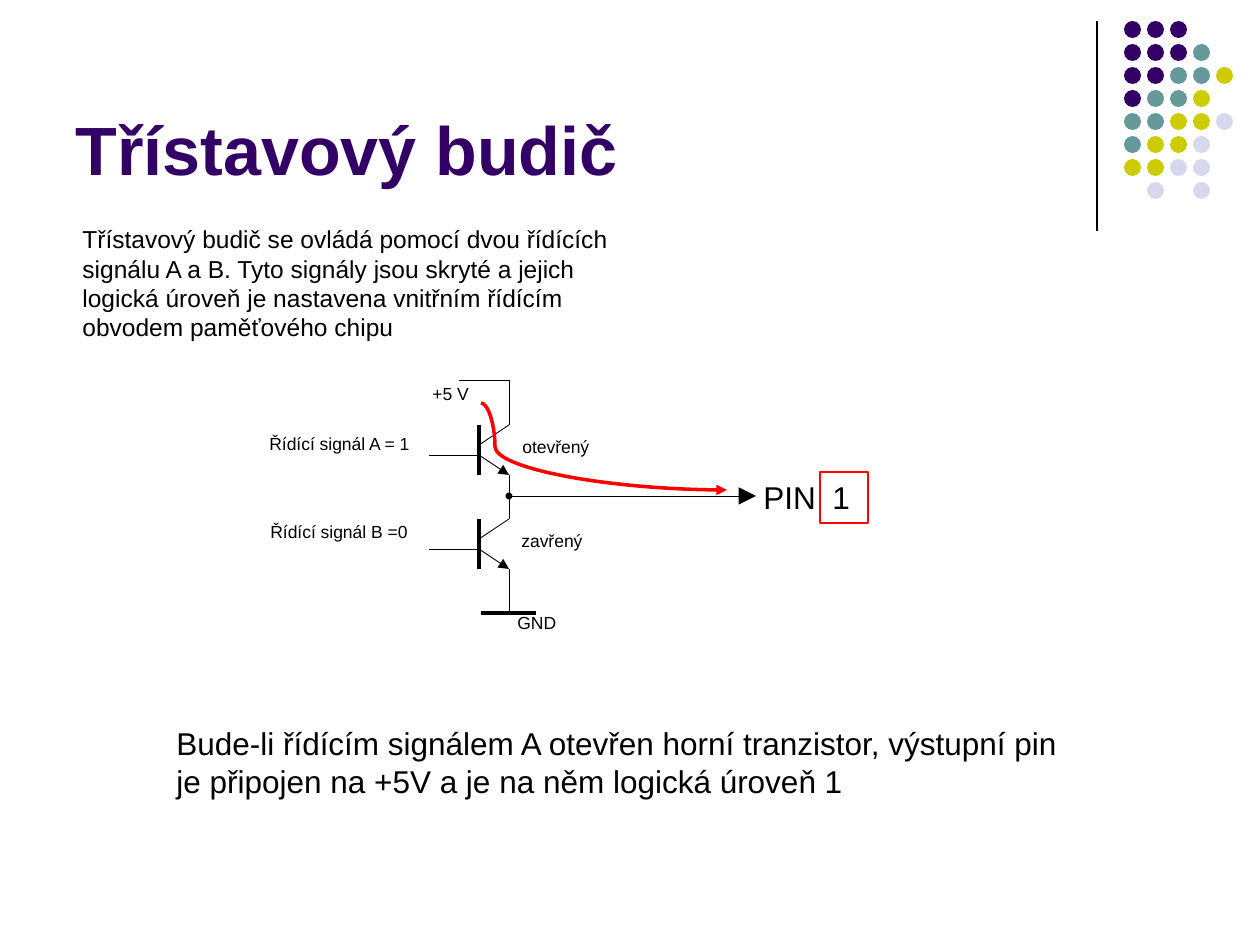
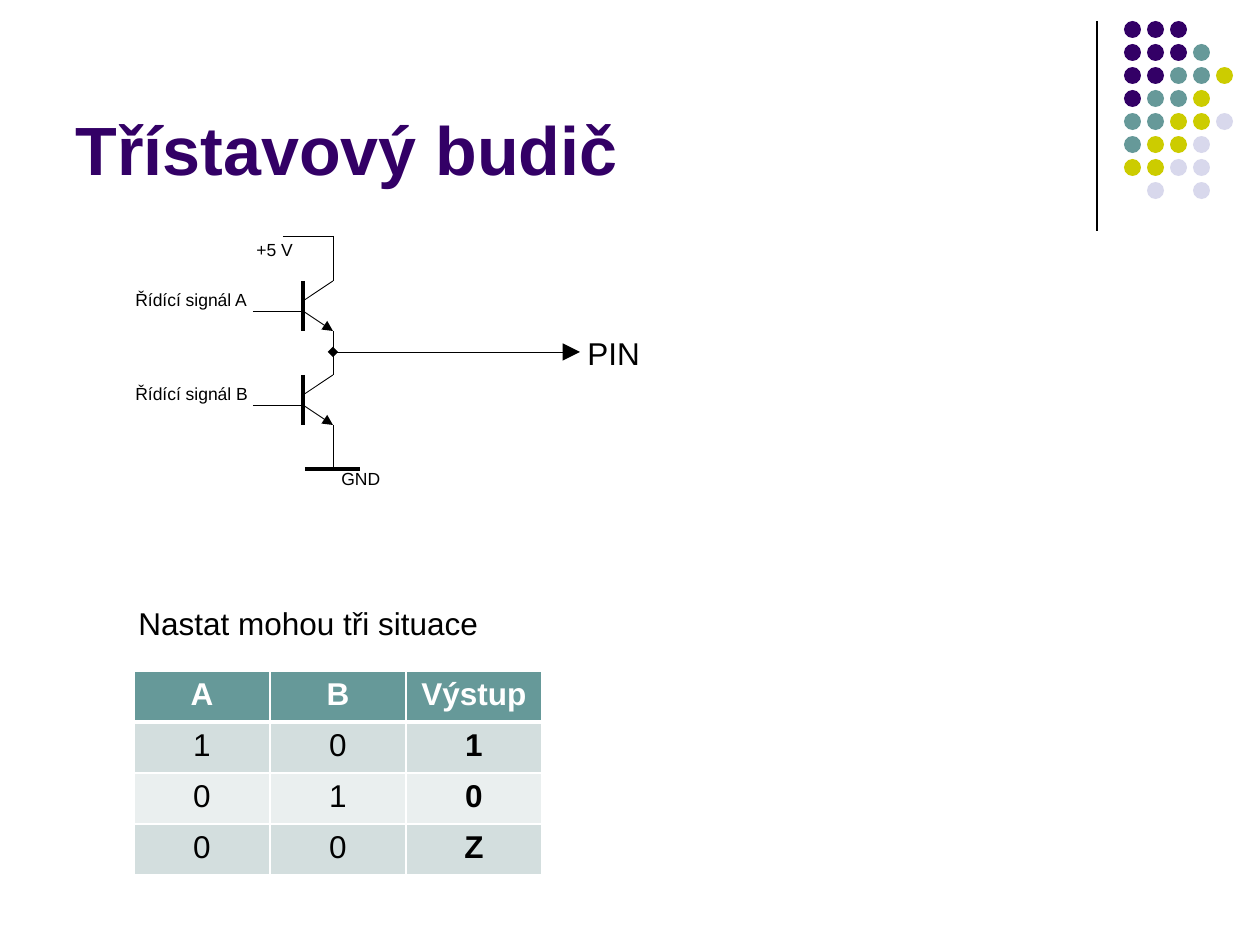
from dataclasses import dataclass

from lxml.etree import SubElement
from pptx import Presentation
from pptx.dml.color import RGBColor
from pptx.enum.shapes import MSO_CONNECTOR as CONN, MSO_SHAPE as SHAPE
from pptx.enum.text import MSO_ANCHOR as ANCHOR, PP_ALIGN as ALIGN
from pptx.oxml.ns import qn
from pptx.util import Pt


@dataclass(frozen=True)
class Theme:
    font: str = "Arial"
    purple: str = "330066"
    teal: str = "669999"
    lime: str = "CCCC00"
    pale: str = "D8D8EC"
    black: str = "000000"
    white: str = "FFFFFF"
    red: str = "FF0000"
    band: str = "D3DEDE"
    light_band: str = "EAEFEF"
    title: int = 39
    body: int = 18
    note: int = 14
    label: int = 10
    thin: float = 0.5
    frame: float = 0.75
    thick: float = 1.75
    flow: float = 2


T = Theme()
SCALE = 914400 / 126
DOTS = ("PPP", "PPPT", "PPTTL", "PTTL", "TTLLV", "TLLV", "LLVV", " V V")
DOT_COLORS = {"P": T.purple, "T": T.teal, "L": T.lime, "V": T.pale}


def px(n):
    return round(n * SCALE)


def rgb(color):
    return RGBColor.from_string(color)


def write(tf, text, size=T.body, color=T.black, bold=False, align=ALIGN.LEFT):
    p = tf.paragraphs[0]
    p.alignment = align
    r = p.add_run()
    r.text = text
    r.font.name = T.font
    r.font.size = Pt(size)
    r.font.bold = bold
    r.font.color.rgb = rgb(color)


def add_text(s, text, x, y, w, h, anchor=ANCHOR.TOP, right=None, **fmt):
    tf = s.shapes.add_textbox(px(x), px(y), px(w), px(h)).text_frame
    tf.word_wrap = True
    tf.vertical_anchor = anchor
    if right is not None:
        tf.margin_right = right
    write(tf, text, **fmt)


def add_label(s, text, x, y, w=190, h=34, size=T.label):
    add_text(s, text, x, y, w, h, right=0, size=size)


def add_line(s, x1, y1, x2, y2, width=T.thin, color=T.black,
             head=None, tail=None, kind=CONN.STRAIGHT):
    c = s.shapes.add_connector(kind, px(x1), px(y1), px(x2), px(y2))
    c.line.width = Pt(width)
    c.line.color.rgb = rgb(color)
    ln = c.line._get_or_add_ln()
    for tag, end in (("a:headEnd", head), ("a:tailEnd", tail)):
        if end:
            style, size = end
            SubElement(ln, qn(tag), type=style, w=size, len=size)
    SubElement(c._element.spPr, qn("a:effectLst"))
    return c


def add_shape(s, kind, x, y, w, h, fill=None, line=None):
    sp = s.shapes.add_shape(kind, px(x), px(y), px(w), px(h))
    sp.shadow.inherit = False
    if fill:
        sp.fill.solid()
        sp.fill.fore_color.rgb = rgb(fill)
    else:
        sp.fill.background()
    if line:
        sp.line.color.rgb = rgb(line)
        sp.line.width = Pt(T.frame)
    else:
        sp.line.fill.background()
    return sp


def dot_grid(s, x, y, pitch=23, size=17):
    for row, codes in enumerate(DOTS):
        for col, code in enumerate(codes):
            if code != " ":
                add_shape(s, SHAPE.OVAL, x + col * pitch, y + row * pitch,
                          size, size, fill=DOT_COLORS[code])


def new_slide(prs, title):
    s = prs.slides.add_slide(prs.slide_layouts[6])
    add_line(s, 1097, 21, 1097, 231, T.frame)
    dot_grid(s, 1124, 21)
    add_text(s, title, 63, 16, 1040, 179, anchor=ANCHOR.BOTTOM,
             size=T.title, color=T.purple, bold=True)
    return s


def transistor(s, x, y):
    base, out = x + 50, x + 80
    add_line(s, base, y, base, y + 50, T.thick)
    add_line(s, base, y + 30, out, y + 50, tail=("triangle", "med"))
    add_line(s, base, y + 20, out, y)
    add_line(s, x, y + 30, base, y + 30)


def driver_circuit(s, x, y, joint):
    out, top, middle, bottom = x + 80, y + 45, y + 139, y + 233
    transistor(s, x, top)
    transistor(s, x, middle)
    add_line(s, x + 30, y, out, y)
    for start, end in ((y, top), (top + 50, middle), (middle + 50, bottom)):
        add_line(s, out, start, out, end)
    add_line(s, x + 52, bottom, x + 107, bottom, T.thick)
    add_line(s, out, y + 116, x + 327, y + 116,
             head=joint, tail=("triangle", "lg"))
    add_label(s, "+5 V", x - 9, y - 3, 62)
    add_label(s, "GND", x + 76, y + 226, 89)
    add_label(s, "PIN", x + 322, y + 92, 128, 50, T.body)


def current_flow(s, x, y):
    c = add_line(s, x, y, x + 246, y + 87, T.flow, T.red,
                 tail=("triangle", "med"), kind=CONN.CURVE)
    adjust = c._element.spPr.find(qn("a:prstGeom")).get_or_add_avLst()
    SubElement(adjust, qn("a:gd"), name="adj1", fmla="val 5700")


def output_level(s, text, x, y):
    sp = add_shape(s, SHAPE.RECTANGLE, x, y, 48, 51, line=T.red)
    tf = sp.text_frame
    tf.vertical_anchor = ANCHOR.TOP
    write(tf, text)


def set_borders(cell, **widths):
    pr = cell._tc.get_or_add_tcPr()
    for i, side in enumerate("LRTB"):
        ln = SubElement(pr, qn("a:ln" + side), w=str(Pt(widths.get(side, 1))))
        pr.remove(ln)
        pr.insert(i, ln)
        fill = SubElement(ln, qn("a:solidFill"))
        SubElement(fill, qn("a:srgbClr"), val=T.white)


def truth_table(s, rows, x, y, col=136, row=51):
    n, m = len(rows), len(rows[0])
    table = s.shapes.add_table(n, m, px(x), px(y), px(m * col), px(n * row)).table
    for column in table.columns:
        column.width = px(col)
    for i, values in enumerate(rows):
        table.rows[i].height = px(row)
        header = i == 0
        fill = T.teal if header else T.band if i % 2 else T.light_band
        for j, value in enumerate(values):
            cell = table.cell(i, j)
            cell.fill.solid()
            cell.fill.fore_color.rgb = rgb(fill)
            set_borders(cell, T=3 if i == 1 else 1, B=3 if header else 1)
            write(cell.text_frame, value, align=ALIGN.CENTER,
                  color=T.white if header else T.black,
                  bold=header or j == m - 1)


def high_level_slide(prs, title):
    s = new_slide(prs, title)
    x, y = 429, 380
    driver_circuit(s, x, y, joint=("oval", "sm"))
    add_label(s, "Řídící signál A = 1", x - 172, y + 47)
    add_label(s, "Řídící signál B =0", x - 171, y + 135)
    add_label(s, "otevřený", x + 81, y + 50, 98)
    add_label(s, "zavřený", x + 80, y + 144, 98)
    current_flow(s, x + 52, y + 23)
    output_level(s, "1", x + 391, y + 92)
    add_text(s, "Třístavový budič se ovládá pomocí dvou řídících signálu A a B. "
             "Tyto signály jsou skryté a jejich logická úroveň je nastavena "
             "vnitřním řídícím obvodem paměťového chipu",
             70, 218, 586, 131, size=T.note)
    add_text(s, "Bude-li řídícím signálem A otevřen horní tranzistor, výstupní "
             "pin je připojen na +5V a je na něm logická úroveň 1",
             164, 718, 932, 89)


def states_slide(prs, title):
    s = new_slide(prs, title)
    x, y = 253, 236
    driver_circuit(s, x, y, joint=("diamond", "med"))
    add_label(s, "Řídící signál A", x - 130, y + 47)
    add_label(s, "Řídící signál B", x - 130, y + 141)
    add_text(s, "Nastat mohou tři situace", 126, 598, 525, 50)
    truth_table(s, (("A", "B", "Výstup"), "101", "010", "00Z"), 134, 671)


def main():
    prs = Presentation()
    prs.slide_width, prs.slide_height = px(1260), px(945)
    title = "Třístavový budič"
    high_level_slide(prs, title)
    states_slide(prs, title)
    prs.save("out.pptx")


main()
